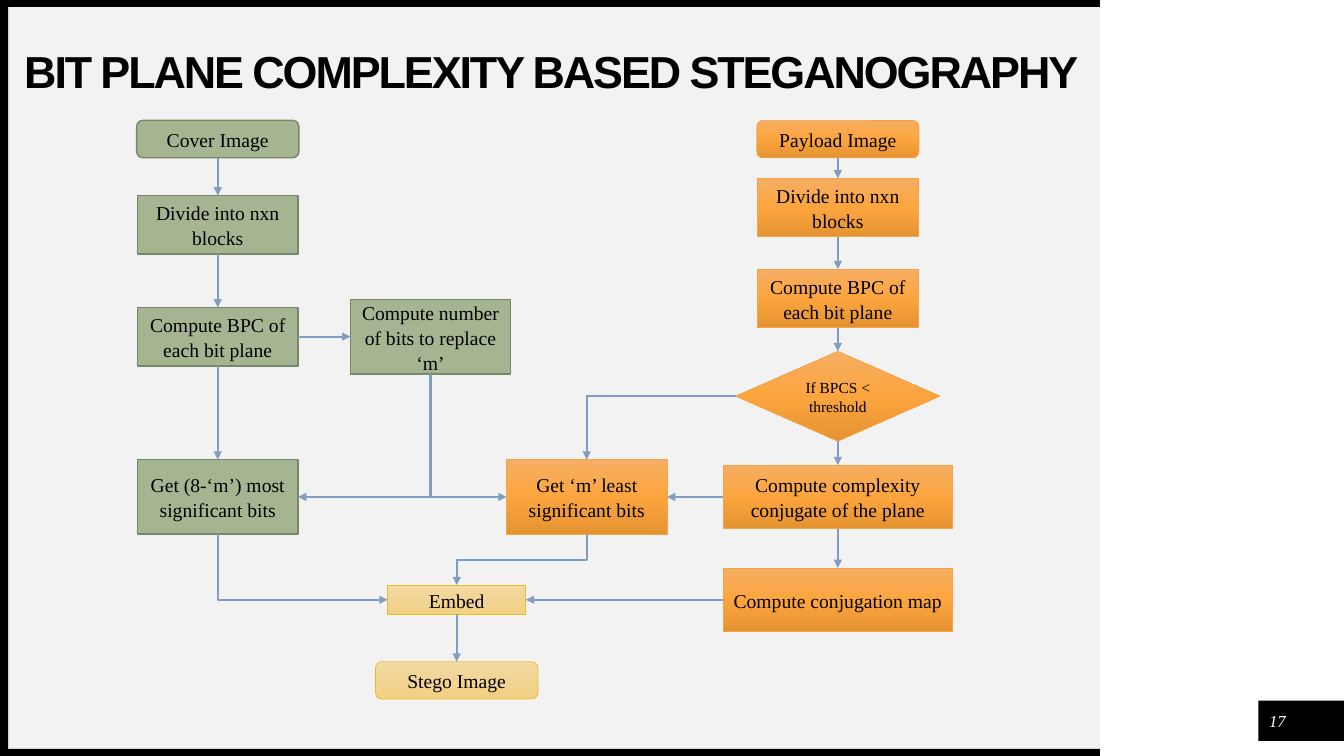
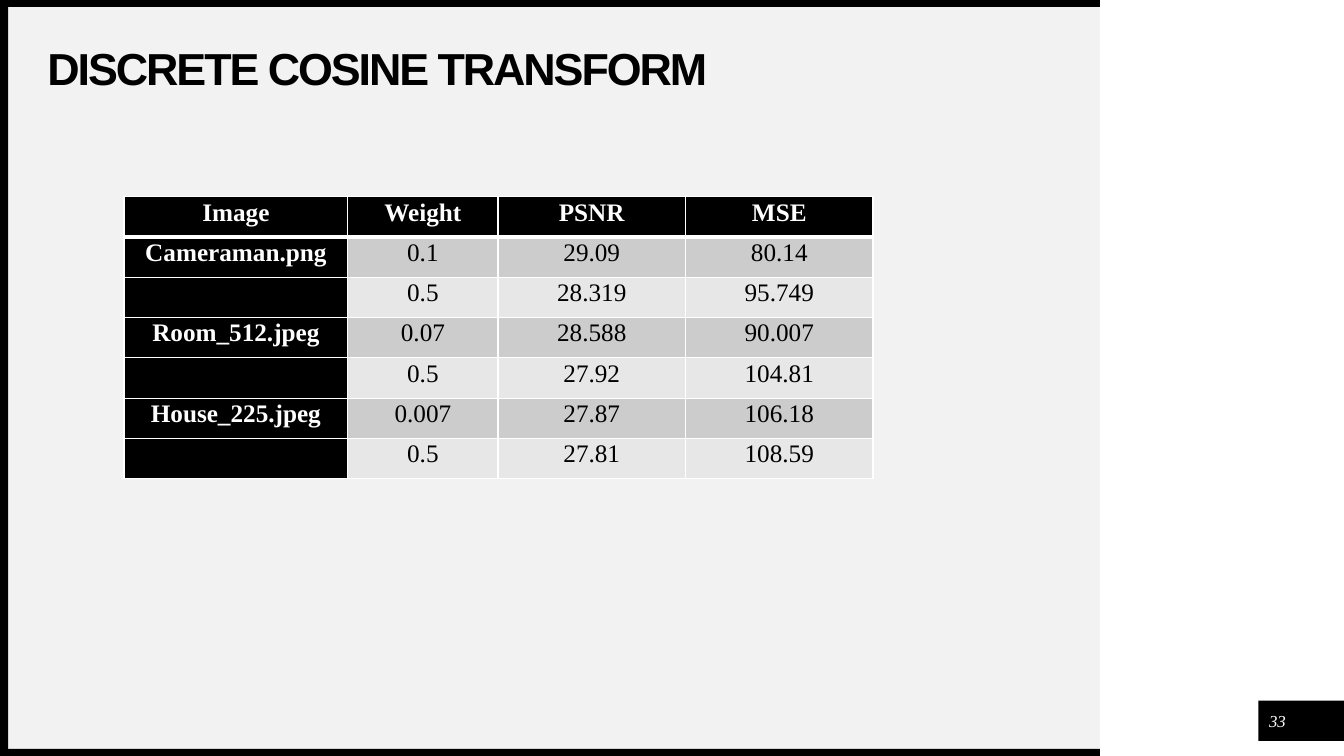
from copy import deepcopy
from dataclasses import dataclass

from lxml import etree
from pptx import Presentation
from pptx.dml.color import RGBColor
from pptx.enum.shapes import MSO_CONNECTOR, MSO_SHAPE
from pptx.enum.text import MSO_ANCHOR, PP_ALIGN
from pptx.oxml.ns import qn
from pptx.util import Inches, Pt

RECT = MSO_SHAPE.RECTANGLE
ROUND = MSO_SHAPE.FLOWCHART_ALTERNATE_PROCESS
CHOICE = MSO_SHAPE.FLOWCHART_DECISION
STRAIGHT, ELBOW = MSO_CONNECTOR.STRAIGHT, MSO_CONNECTOR.ELBOW
LEFT, CENTER = PP_ALIGN.LEFT, PP_ALIGN.CENTER
MIDDLE = MSO_ANCHOR.MIDDLE
# Connection sites of a box
UP, WEST, DOWN, EAST = range(4)


@dataclass(frozen=True)
class Theme:
    black: str = "000000"
    white: str = "FFFFFF"
    panel: str = "F2F2F2"
    arrow: str = "809EC2"
    bands: tuple = ("CCCCCC", "E7E7E7")
    head: str = "Arial"
    body: str = "Times New Roman"
    title_size: int = 32
    cell_size: int = 18
    box_size: int = 14
    small_size: int = 11
    page_size: int = 12


THEME = Theme()
WIDE, HIGH = 13.33, 7.5
PANEL_W, BAR = 10.91, 0.07

# Fill colours, line colour, line width
STYLES = {
    "cover": (("A5B592",), "7A866C", 1),
    "payload": (("F6AE64", "FCA53E", "E59332"), "F3A447", 0.5),
    "result": (("F4DBA3", "F1D494", "F3D180"), "E7BC29", 0.5),
}
# Shape, width, height
FORMS = {
    "end": (ROUND, 1.61, 0.37),
    "step": (RECT, 1.59, 0.58),
    "tall": (RECT, 1.59, 0.74),
    "wide": (RECT, 2.28, 0.63),
    "slim": (RECT, 1.37, 0.29),
    "test": (CHOICE, 2.02, 0.89),
}
COLS = {"cover": 2.16, "count": 4.27, "embed": 4.53, "least": 5.82,
        "payload": 8.31}
# Key: text, style, form, column, middle height
BOXES = {
    "cover": ("Cover Image", "cover", "end", "cover", 1.38),
    "payload": ("Payload Image", "payload", "end", "payload", 1.38),
    "stego": ("Stego Image", "result", "end", "embed", 6.75),
    "cover cut": ("Divide into nxn blocks", "cover", "step", "cover", 2.23),
    "cover bpc": ("Compute BPC of each bit plane", "cover", "step", "cover",
                  3.34),
    "count": ("Compute number of bits to replace ‘m’", "cover", "tall",
              "count", 3.34),
    "cut": ("Divide into nxn blocks", "payload", "step", "payload", 2.06),
    "bpc": ("Compute BPC of each bit plane", "payload", "step", "payload",
            2.96),
    "test": ("If BPCS < threshold", "payload", "test", "payload", 3.93),
    "conj": ("Compute complexity conjugate of the plane", "payload", "wide",
             "payload", 4.93),
    "map": ("Compute conjugation map", "payload", "wide", "payload", 5.95),
    "most": ("Get (8-‘m’) most significant bits", "cover", "tall", "cover",
             4.93),
    "least": ("Get ‘m’ least significant bits", "payload", "tall", "least",
              4.93),
    "embed": ("Embed", "result", "slim", "embed", 5.95),
}
# From, side, to, side
LINKS = [
    ("cover", DOWN, "cover cut", UP),
    ("cover cut", DOWN, "cover bpc", UP),
    ("cover bpc", DOWN, "most", UP),
    ("cover bpc", EAST, "count", WEST),
    ("payload", DOWN, "cut", UP),
    ("cut", DOWN, "bpc", UP),
    ("bpc", DOWN, "test", UP),
    ("test", DOWN, "conj", UP),
    ("conj", DOWN, "map", UP),
    ("conj", WEST, "least", EAST),
    ("map", WEST, "embed", EAST),
    ("embed", DOWN, "stego", UP),
    ("count", DOWN, "most", EAST),
    ("count", DOWN, "least", WEST),
    ("test", WEST, "least", UP),
    ("most", DOWN, "embed", WEST),
    ("least", DOWN, "embed", UP),
]

TABLE_AT = (1.23, 1.95)
TABLE_COLS = (2.22, 1.49, 1.86, 1.86)
ROW_H = 0.4
RESULTS = [
    ("Image", "Weight", "PSNR", "MSE"),
    ("Cameraman.png", "0.1", "29.09", "80.14"),
    ("", "0.5", "28.319", "95.749"),
    ("Room_512.jpeg", "0.07", "28.588", "90.007"),
    ("", "0.5", "27.92", "104.81"),
    ("House_225.jpeg", "0.007", "27.87", "106.18"),
    ("", "0.5", "27.81", "108.59"),
]


def color(code):
    return RGBColor.from_string(code)


def inches(*sizes):
    return [Inches(size) for size in sizes]


def style(para, face, size, ink, bold=False, italic=False, align=CENTER,
          lead=None):
    para.alignment = align
    if lead:
        para.line_spacing = lead
    font = para.font
    font.name, font.size, font.bold, font.italic = face, Pt(size), bold, italic
    font.color.rgb = color(ink)


def add_text(slide, at, text, track=0, **look):
    """Add a text box without insets; track is letter spacing in points."""
    frame = slide.shapes.add_textbox(*inches(*at)).text_frame
    frame.word_wrap = True
    frame.vertical_anchor = MIDDLE
    frame.margin_left = frame.margin_right = 0
    frame.margin_top = frame.margin_bottom = 0
    para = frame.paragraphs[0]
    style(para, **look)
    run = para.add_run()
    run.text = text
    if track:
        run._r.get_or_add_rPr().set("spc", str(round(track * 100)))


def add_shape(slide, form, at, fills, edge=None, width=0):
    shape = slide.shapes.add_shape(form, *inches(*at))
    shape.shadow.inherit = False
    fill = shape.fill
    if len(fills) == 1:
        fill.solid()
        fill.fore_color.rgb = color(fills[0])
    else:
        fill.gradient()
        fill.gradient_angle = 270
        stops = shape._element.spPr.find(".//" + qn("a:gsLst"))
        for _ in fills[2:]:
            stops.append(deepcopy(stops[0]))
        for i, (stop, code) in enumerate(zip(fill.gradient_stops, fills)):
            stop.position = i / (len(fills) - 1)
            stop.color.rgb = color(code)
    if edge:
        shape.line.color.rgb = color(edge)
        shape.line.width = Pt(width)
    else:
        shape.line.fill.background()
    return shape


def add_slide(deck, title, at, page):
    slide = deck.slides.add_slide(deck.slide_layouts[6])
    black = THEME.black
    for rect, fill in [
        ((BAR, BAR, PANEL_W - BAR, HIGH - 2 * BAR), THEME.panel),
        ((WIDE - 0.85, 6.95, 0.85, 0.4), black),
        ((0, HIGH - BAR, PANEL_W, BAR), black),
        ((0, 0, PANEL_W, BAR), black),
        ((0, 0, 0.08, HIGH), black),
    ]:
        add_shape(slide, RECT, rect, (fill,))
    add_text(slide, at, title, track=-1.5, face=THEME.head,
             size=THEME.title_size, ink=black, bold=True, align=LEFT, lead=0.9)
    add_text(slide, (12.52, 7, 0.3, 0.3), page, face=THEME.body,
             size=THEME.page_size, ink=THEME.white, italic=True)
    return slide


def add_box(slide, text, look, form, col, mid):
    kind, wide, high = FORMS[form]
    at = (COLS[col] - wide / 2, mid - high / 2, wide, high)
    box = add_shape(slide, kind, at, *STYLES[look])
    frame = box.text_frame
    frame.word_wrap = True
    frame.vertical_anchor = MIDDLE
    frame.text = text
    para = frame.paragraphs[0]
    para.space_after = Pt(8)
    size = THEME.small_size if form == "test" else THEME.box_size
    style(para, THEME.body, size, THEME.black, lead=1.06)
    return box


def bend(line, out, into):
    """Route an elbow: one turn if its ends are at right angles, else two."""
    x, y = line.begin_x, line.begin_y
    dx, dy = line.end_x - x, line.end_y - y
    wide, high = abs(dx), abs(dy)
    props = line._element.spPr
    if out % 2 != into % 2:
        props.find(qn("a:prstGeom")).set("prst", "bentConnector2")
    frame = props.find(qn("a:xfrm"))
    for flag in ("flipH", "flipV"):
        frame.attrib.pop(flag, None)
    if out == DOWN:
        frame.set("rot", str(90 * 60000))
        flips = {"flipV": dx > 0}
        wide, high = high, wide
    else:
        flips = {"flipH": dx < 0, "flipV": dy < 0}
    for flag, on in flips.items():
        if on:
            frame.set(flag, "1")
    line.left = round(x + dx / 2 - wide / 2)
    line.top = round(y + dy / 2 - high / 2)
    line.width, line.height = wide, high


def add_link(slide, start, out, end, into):
    across = start.left + start.width // 2 - end.left - end.width // 2
    down = start.top + start.height // 2 - end.top - end.height // 2
    straight = min(abs(across), abs(down)) < Inches(0.02)
    line = slide.shapes.add_connector(STRAIGHT if straight else ELBOW,
                                      0, 0, 0, 0)
    line.begin_connect(start, out)
    line.end_connect(end, into)
    if not straight:
        bend(line, out, into)
    line.line.color.rgb = color(THEME.arrow)
    line.line.width = Pt(1.5)
    etree.SubElement(line.line._get_or_add_ln(), qn("a:tailEnd"),
                     type="triangle")
    etree.SubElement(line._element.spPr, qn("a:effectLst"))


def add_border(cell, side, width):
    edge = etree.SubElement(cell._tc.get_or_add_tcPr(), qn("a:ln" + side),
                            w=str(Pt(width)))
    fill = etree.SubElement(edge, qn("a:solidFill"))
    etree.SubElement(fill, qn("a:srgbClr"), val=THEME.white)


def add_results(slide):
    size = (sum(TABLE_COLS), ROW_H * len(RESULTS))
    table = slide.shapes.add_table(len(RESULTS), len(TABLE_COLS),
                                   *inches(*TABLE_AT, *size)).table
    for col, wide in zip(table.columns, TABLE_COLS):
        col.width = Inches(wide)
    for r, row in enumerate(RESULTS):
        for c, text in enumerate(row):
            cell = table.cell(r, c)
            label = r == 0 or c == 0
            cell.margin_left = cell.margin_right = Inches(0.07)
            cell.margin_top = cell.margin_bottom = 0
            for side in "LRTB":
                thick = (r, side) in ((0, "B"), (1, "T"))
                add_border(cell, side, 3 if thick else 1)
            cell.fill.solid()
            cell.fill.fore_color.rgb = color(
                THEME.black if label else THEME.bands[(r - 1) % 2])
            cell.text = text
            style(cell.text_frame.paragraphs[0], THEME.body, THEME.cell_size,
                  THEME.white if label else THEME.black, bold=label, lead=1.07)


def main():
    deck = Presentation()
    deck.slide_width, deck.slide_height = inches(WIDE, HIGH)
    flow = add_slide(deck, "BIT PLANE COMPLEXITY BASED STEGANOGRAPHY",
                     (0.24, 0.17, 10.92, 1.12), "17")
    boxes = {key: add_box(flow, *box) for key, box in BOXES.items()}
    for start, out, end, into in LINKS:
        add_link(flow, boxes[start], out, boxes[end], into)
    add_results(add_slide(deck, "DISCRETE COSINE TRANSFORM",
                          (0.47, 0.47, 10.06, 0.47), "33"))
    deck.save("out.pptx")


if __name__ == "__main__":
    main()
